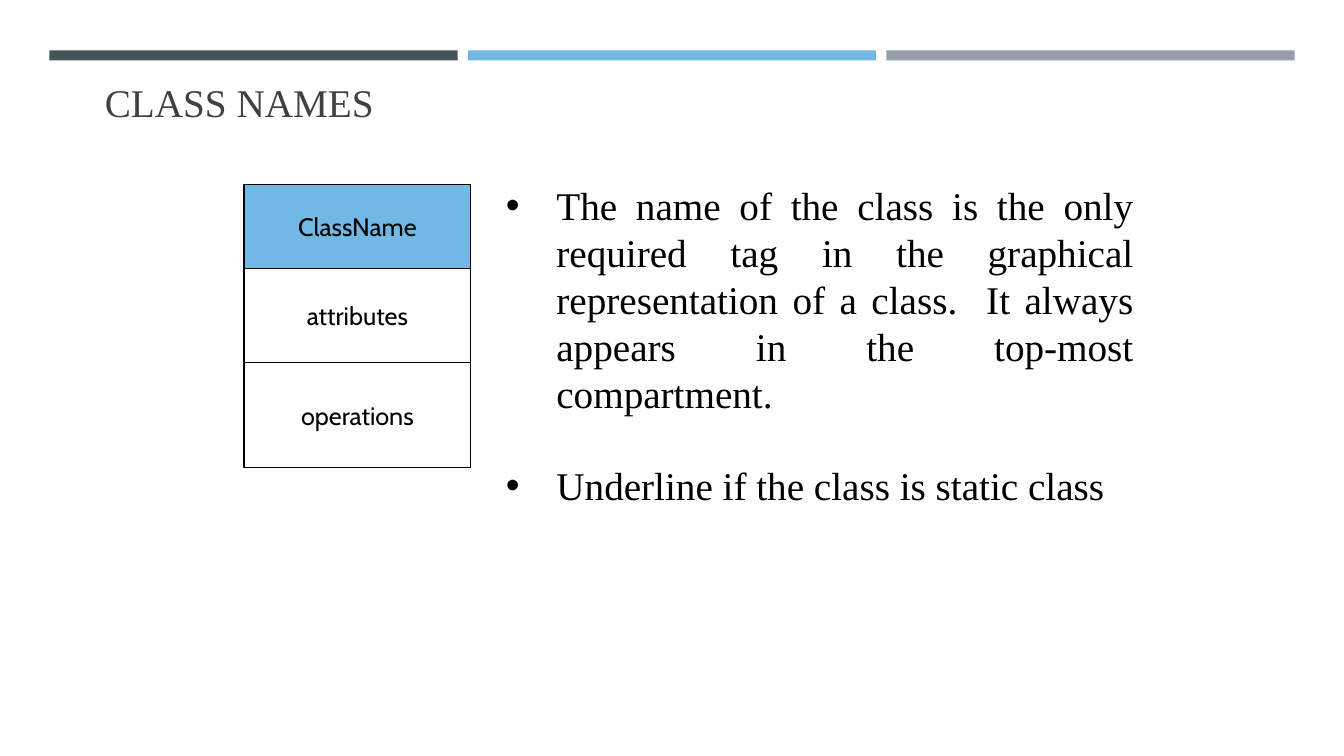
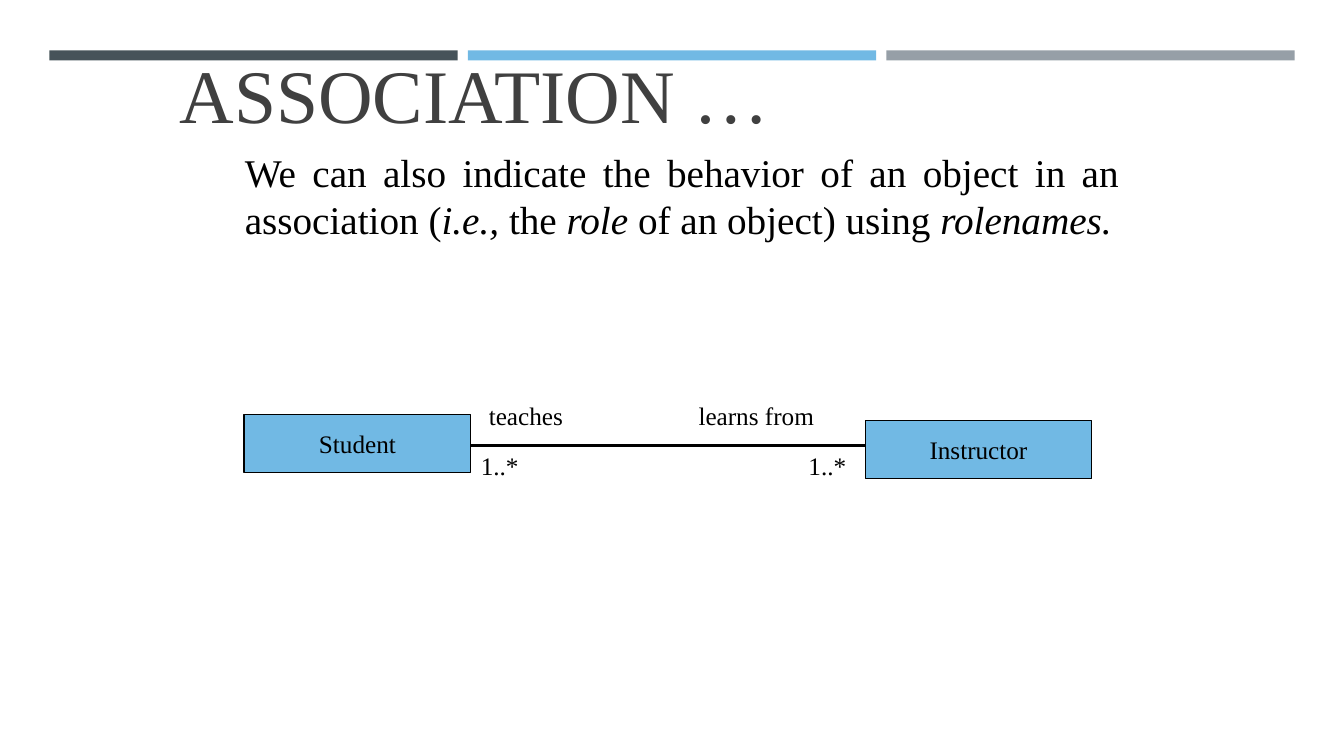
import pptx
import pptx.dml.color
import pptx.enum.shapes
import pptx.enum.text
import pptx.oxml
import pptx.oxml.ns
import pptx.util
from pptx.util import Inches

PP = pptx.enum.text.PP_ALIGN
ANCHOR = pptx.enum.text.MSO_ANCHOR
SERIF = "Times New Roman"
SANS = "Cabin"
DARK, BLUE, GREY = "465359", "71B9E4", "969FA7"
BLACK, WHITE, TITLE = "000000", "FFFFFF", "404040"
LEFT, BOX_W = 2.42, 2.25  # column shared by both diagrams


def rgb(value):
    return pptx.dml.color.RGBColor.from_string(value)


def set_all(obj, **values):
    for name, value in values.items():
        setattr(obj, name, value)


def add_run(p, text, size, font=SERIF, color=BLACK, italic=None):
    r = p.add_run()
    r.text = text
    set_all(r.font, name=font, size=pptx.util.Pt(size), italic=italic)
    r.font.color.rgb = rgb(color)


def place(sp, x, y, w, h):
    set_all(sp, left=Inches(x), top=Inches(y), width=Inches(w), height=Inches(h))


def add_rect(s, x, y, w, h, fill, line=None):
    sp = s.shapes.add_shape(pptx.enum.shapes.MSO_SHAPE.RECTANGLE,
                            Inches(x), Inches(y), Inches(w), Inches(h))
    sp.shadow.inherit = False
    sp.fill.solid()
    sp.fill.fore_color.rgb = rgb(fill)
    if line:
        sp.line.color.rgb = rgb(line)
        sp.line.width = pptx.util.Pt(0.75)
    else:
        sp.line.fill.background()
    return sp


def class_box(s, x, y, h, text, fill=BLUE, font=SERIF):
    tf = add_rect(s, x, y, BOX_W, h, fill, BLACK).text_frame
    set_all(tf, word_wrap=False, vertical_anchor=ANCHOR.MIDDLE)
    p = tf.paragraphs[0]
    p.alignment = PP.CENTER
    add_run(p, text, 18, font)


def text_box(s, x, y, w, h):
    tf = s.shapes.add_textbox(Inches(x), Inches(y), Inches(w), Inches(h)).text_frame
    tf.word_wrap = True
    return tf


def add_bullet(p, indent):
    pPr = p._p.get_or_add_pPr()
    pPr.set("marL", str(Inches(indent)))
    pPr.set("indent", str(-Inches(indent)))
    ns = pptx.oxml.ns.nsdecls("a")
    for xml in (f'<a:buFont {ns} typeface="Arial"/>', f'<a:buChar {ns} char="•"/>'):
        pPr.append(pptx.oxml.parse_xml(xml))


def new_slide(prs, title, size, x, y, w):
    s = prs.slides.add_slide(prs.slide_layouts[5])
    # Three equal bands across the top
    for i, color in enumerate((DARK, BLUE, GREY)):
        add_rect(s, 0.49 + i * 4.15, 0.5, 4.05, 0.1, color)
    # Title
    place(s.shapes.title, x, y, w, 0.58)
    tf = s.shapes.title.text_frame
    set_all(tf, word_wrap=True, vertical_anchor=ANCHOR.BOTTOM,
            auto_size=pptx.enum.text.MSO_AUTO_SIZE.NONE)
    p = tf.paragraphs[0]
    p.alignment = PP.LEFT
    add_run(p, title, size, color=TITLE)
    return s


def class_diagram(s, x, y):
    rows = (("ClassName", 0.83, BLUE), ("attributes", 0.94, WHITE),
            ("operations", 1.04, WHITE))
    for text, h, fill in rows:
        class_box(s, x, y, h, text, fill, SANS)
        y += h


def bullet_list(s, x, y, w, h, items):
    tf = text_box(s, x, y, w, h)
    for i, text in enumerate(items):
        p = tf.add_paragraph() if i else tf.paragraphs[0]
        p.alignment = PP.JUSTIFY
        if i:
            p.space_before = pptx.util.Pt(32)
        add_bullet(p, 0.5)
        add_run(p, text, 28)


def association(s, x, y):
    """Two classes joined by a line; y is the height of the line."""
    start, end = x + BOX_W, x + 6.16
    line = s.shapes.add_connector(pptx.enum.shapes.MSO_CONNECTOR.STRAIGHT,
                                  Inches(start), Inches(y), Inches(end), Inches(y))
    line.line.color.rgb = rgb(BLACK)
    line.line.width = pptx.util.Pt(2.25)
    line._element.spPr.append(pptx.oxml.parse_xml(
        f'<a:effectLst {pptx.oxml.ns.nsdecls("a")}/>'))
    class_box(s, x, y - 0.31, 0.58, "Student")
    class_box(s, end, y - 0.25, 0.58, "Instructor")
    # Role names above the line, multiplicities below it
    labels = (("teaches", start + 0.08, y - 0.5, 1.25),
              ("learns from", end - 1.75, y - 0.5, 1.75),
              ("1..*", start, y, 0.75),
              ("1..*", end - 0.66, y, 0.75))
    for text, left, top, w in labels:
        add_run(text_box(s, left, top, w, 0.4).paragraphs[0], text, 18)


def class_names_slide(prs):
    s = new_slide(prs, "CLASS NAMES", 28, 0.94, 0.71, 11.44)
    class_diagram(s, LEFT, 1.83)
    bullet_list(s, 4.92, 1.75, 6.42, 3.4, (
        "The name of the class is the only required tag in the graphical "
        "representation of a class.  It always appears in the top-most compartment.",
        "Underline if the class is static class"))


def association_slide(prs):
    s = new_slide(prs, "ASSOCIATION …", 54, 1.68, 0.85, 9)
    # Introduction, with terms in italics
    p = text_box(s, 2.33, 1.42, 8.87, 1.04).paragraphs[0]
    p.alignment = PP.JUSTIFY
    for text, italic in (
            ("We can also indicate the behavior of an object in an association (", False),
            ("i.e.,", True), (" the ", False), ("role ", True),
            ("of an object) using ", False), ("rolenames.", True)):
        add_run(p, text, 28, italic=italic)
    association(s, LEFT, 4.42)


def main():
    prs = pptx.Presentation()
    set_all(prs, slide_width=Inches(13.33), slide_height=Inches(7.5))
    class_names_slide(prs)
    association_slide(prs)
    prs.save("out.pptx")


if __name__ == "__main__":
    main()
